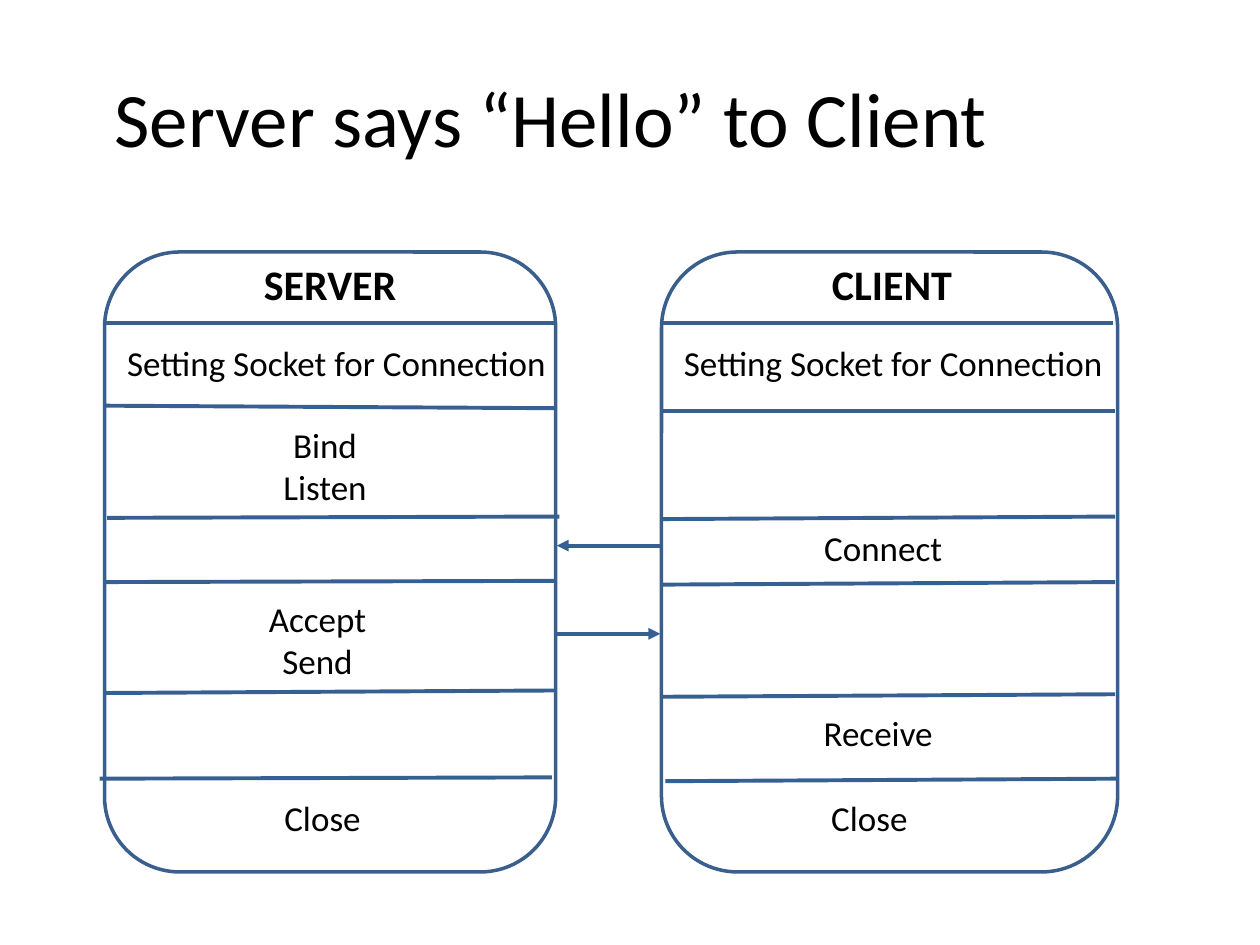
from lxml.etree import SubElement
from pptx import Presentation
from pptx.dml.color import RGBColor
from pptx.enum.shapes import MSO_CONNECTOR as Connector, MSO_SHAPE as Shape
from pptx.enum.text import MSO_ANCHOR as Anchor, MSO_AUTO_SIZE as AutoSize, PP_ALIGN as Align
from pptx.oxml.ns import qn
from pptx.util import Inches, Pt

PANELS = [(0.83, 3.58), (5.25, 3.62)]
DIVIDER_WIDTH = 3.59
DIVIDERS = [
    (0.83, 2.56, 2.56), (0.83, 3.22, 3.24), (0.85, 4.11, 4.10),
    (0.83, 4.62, 4.61), (0.83, 5.50, 5.48), (0.79, 6.18, 6.17),
    (5.24, 2.56, 2.56), (5.26, 3.26, 3.26), (5.26, 4.12, 4.10),
    (5.26, 4.64, 4.62), (5.26, 5.53, 5.51), (5.28, 6.20, 6.18),
]
HEADINGS = [("SERVER", 0.83, 3.58), ("CLIENT", 5.58, 3)]
SOCKET_STEPS = [(0.91, 3.58, 0.44), (5.33, 3.67, 0.74)]
STEPS = [
    (["Bind", "Listen"], 0.85, 3.31),
    (["Accept", "Send"], 0.79, 4.69),
    (["Close"], 0.83, 6.27),
    (["Connect"], 5.28, 4.13),
    (["Receive"], 5.24, 5.60),
    (["Close"], 5.17, 6.27),
]
MESSAGES = [(5.24, 4.42, 4.33), (4.42, 5.24, 5.03)]


def color(value):
    return RGBColor.from_string(value)


def set_all(target, values):
    for name, value in values.items():
        setattr(target, name, value)


def add_text(page, lines, left, top, width, height, size=20, bold=False,
             align=Align.CENTER, anchor=Anchor.TOP):
    box = page.shapes.add_textbox(Inches(left), Inches(top), Inches(width), Inches(height))
    frame = box.text_frame
    set_all(frame, {"word_wrap": True, "auto_size": AutoSize.NONE, "vertical_anchor": anchor})
    for index, line in enumerate(lines):
        para = frame.add_paragraph() if index else frame.paragraphs[0]
        para.alignment = align
        span = para.add_run()
        span.text = line
        set_all(span.font, {"name": "Calibri", "size": Pt(size), "bold": bold})
        span.font.color.rgb = color("000000")


def add_panel(page, left, width):
    panel = page.shapes.add_shape(
        Shape.ROUNDED_RECTANGLE, Inches(left), Inches(2), Inches(width), Inches(4.92))
    panel.shadow.inherit = False
    panel.fill.background()
    panel.line.color.rgb = color("3A5F8C")
    panel.line.width = Pt(2)


def add_line(page, start, end, arrow=False):
    line = page.shapes.add_connector(
        Connector.STRAIGHT, *[Inches(value) for value in (*start, *end)])
    line.line.color.rgb = color("376092")
    line.line.width = Pt(2.25)
    properties = line._element.spPr
    if arrow:
        SubElement(properties.find(qn("a:ln")), qn("a:tailEnd"), type="triangle")
    SubElement(properties, qn("a:effectLst"))


def main():
    deck = Presentation()
    set_all(deck, {"slide_width": Inches(10), "slide_height": Inches(7.5)})
    page = deck.slides.add_slide(deck.slide_layouts[6])
    add_text(page, ["Server says “Hello” to Client"], 0.5, 0.3, 7.75, 1.25,
             size=44, anchor=Anchor.MIDDLE)
    for left, width in PANELS:
        add_panel(page, left, width)
    for heading, left, width in HEADINGS:
        add_text(page, [heading], left, 2, width, 0.5, size=24, bold=True)
    for left, width, height in SOCKET_STEPS:
        add_text(page, ["Setting Socket for Connection"], left, 2.66, width, height,
                 align=Align.LEFT)
    for lines, left, top in STEPS:
        add_text(page, lines, left, top, 3.46, 0.11 + 0.33 * len(lines))
    for left, start_y, end_y in DIVIDERS:
        add_line(page, (left, start_y), (left + DIVIDER_WIDTH, end_y))
    for start_x, end_x, y in MESSAGES:
        add_line(page, (start_x, y), (end_x, y), arrow=True)
    deck.save("out.pptx")


main()
